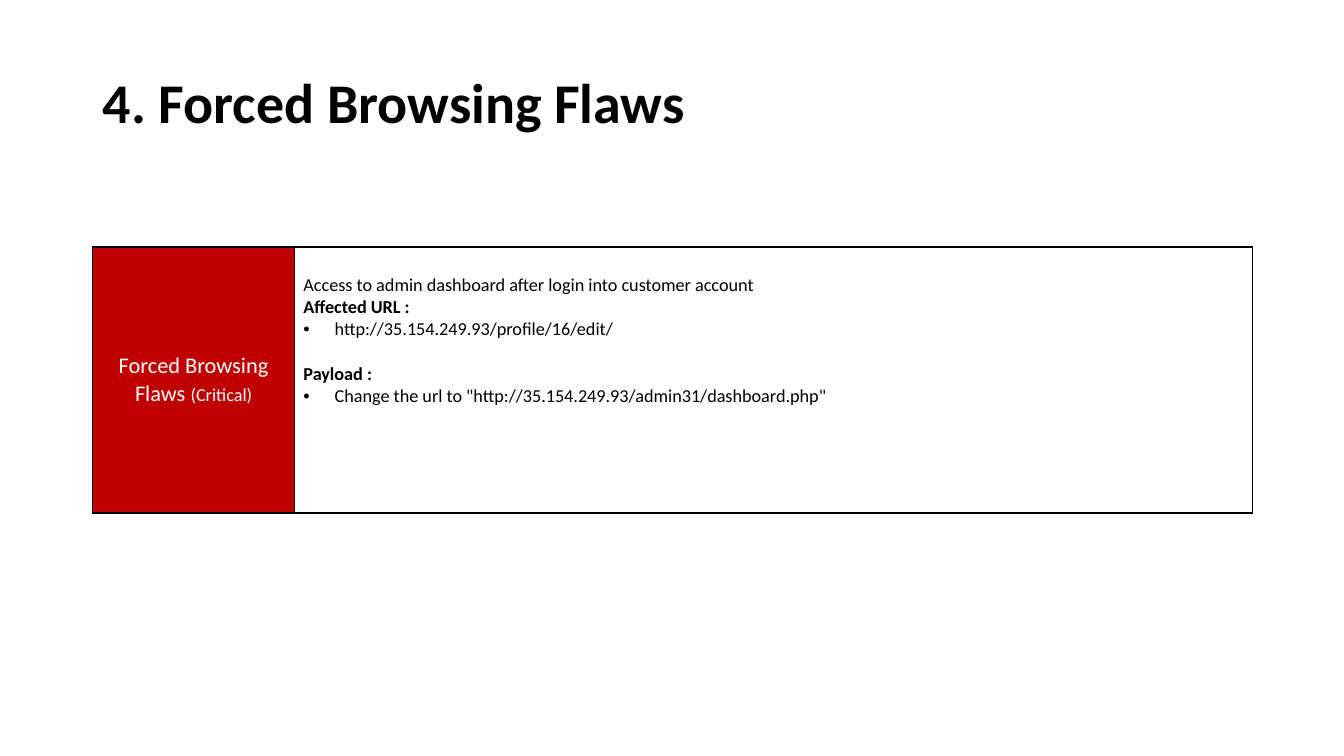
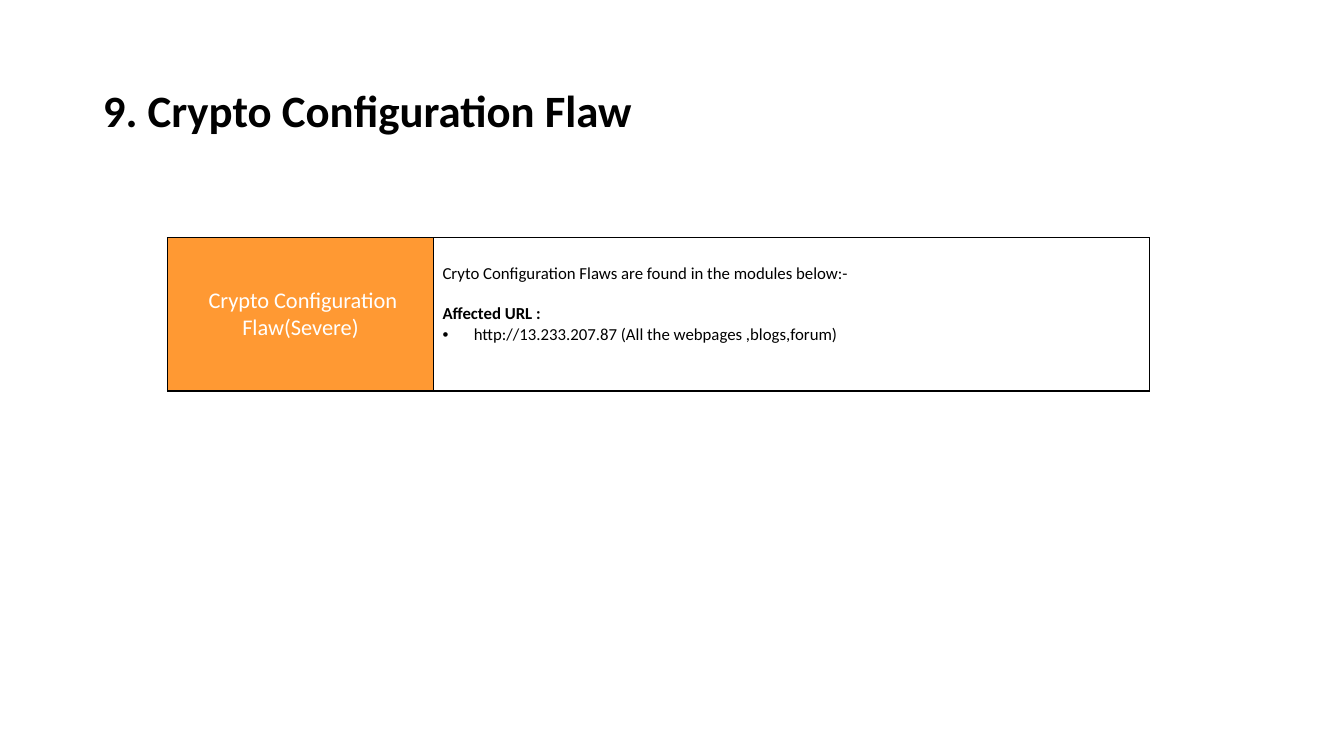
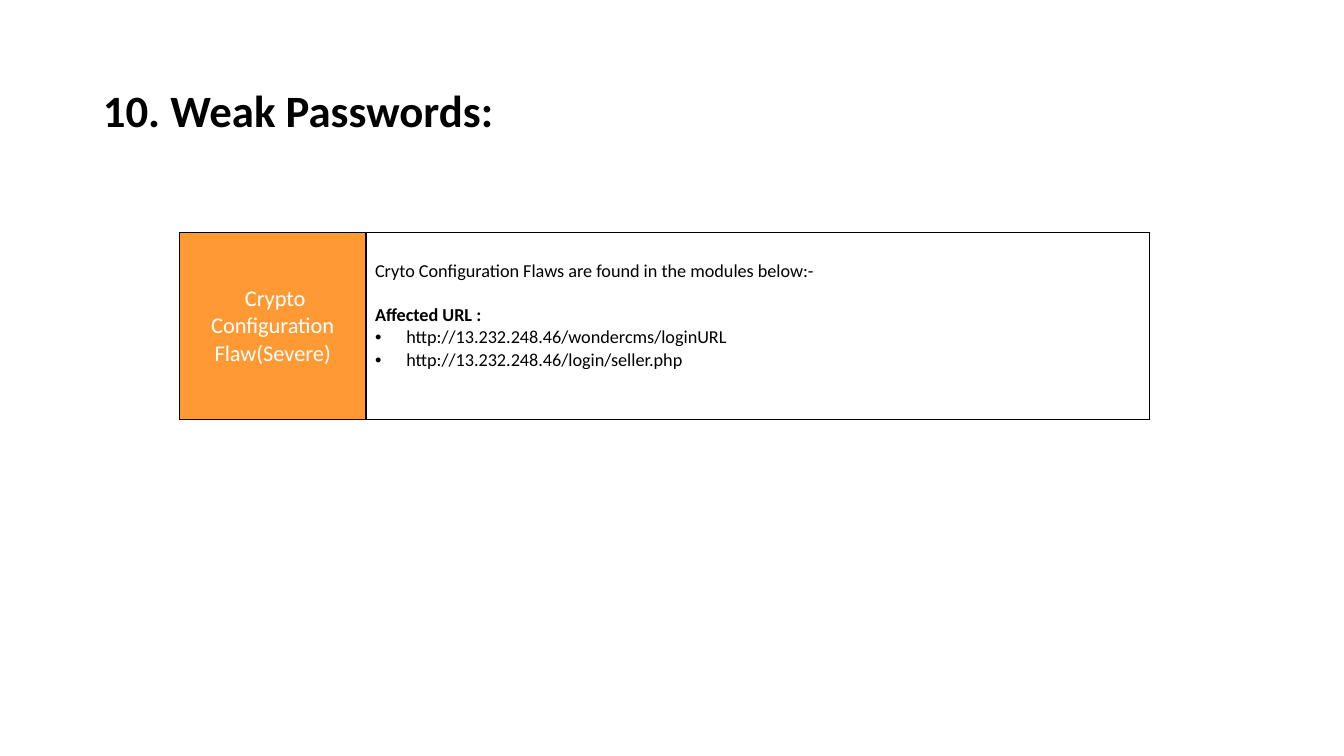
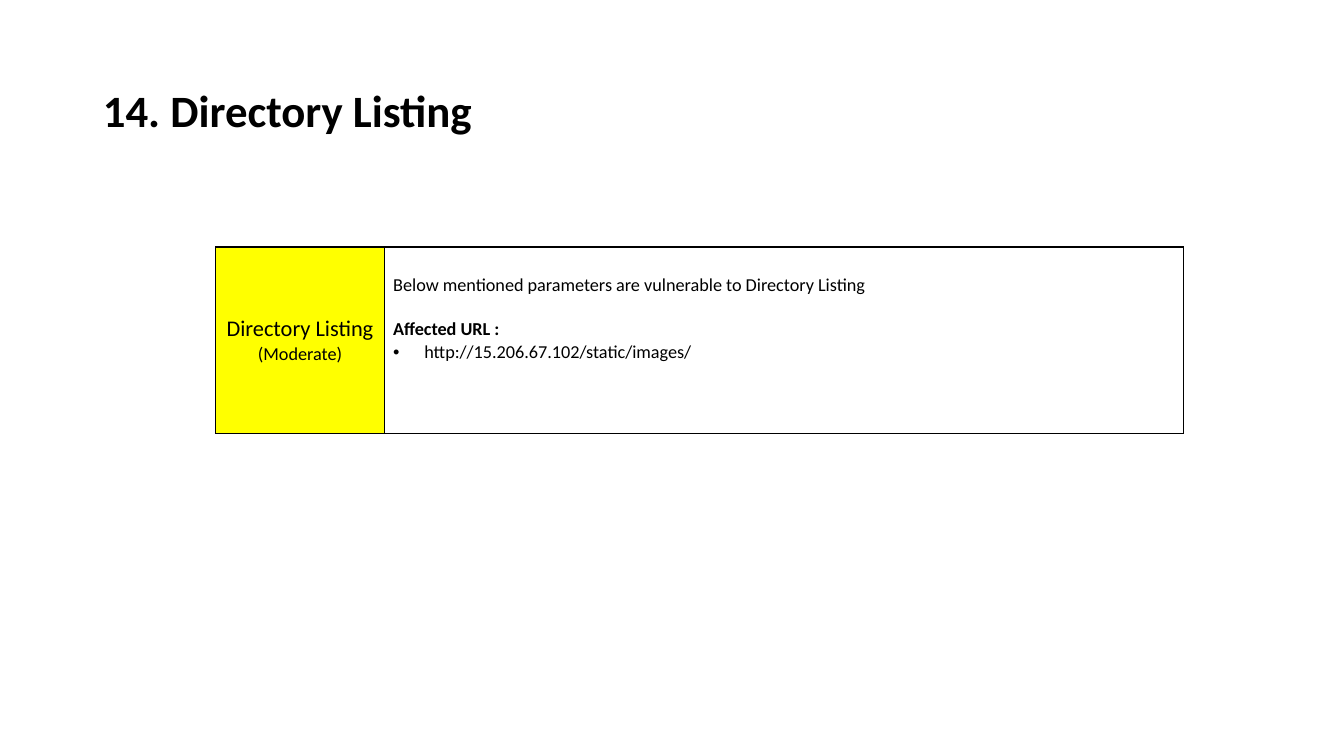
import pptx
import pptx.util
import pptx.dml.color
import pptx.enum.text
import pptx.oxml
import pptx.oxml.ns

Inches, Pt = pptx.util.Inches, pptx.util.Pt
Align, Anchor = pptx.enum.text.PP_ALIGN, pptx.enum.text.MSO_ANCHOR
qn = pptx.oxml.ns.qn

# Shared look
FONT = "Calibri"
BLACK, WHITE = "000000", "FFFFFF"
CRITICAL, SEVERE, MODERATE = "C00000", "FF9933", "FFFF00"
LABEL_SIZE = 16
LINE_FACTOR = 1.22      # line height of the font relative to its size
INSET_X, INSET_Y, BULLET_INDENT = 0.09, 0.05, 0.31
NO_STYLE = "{2D5ABB26-0587-4C30-8999-92F81FD0307C}"

# Content: details are (kind, text); "gap" kinds stand one line below the text before
FINDINGS = [
    {
        "title": "4. Forced Browsing Flaws", "title_size": 40, "title_box": (9.43, 1.29),
        "at": (0.92, 2), "columns": (2, 9.5), "rows": (0.45, 2.64),
        "label": [("Forced Browsing Flaws ", 16), ("(Critical)", 13)],
        "fill": CRITICAL, "label_color": WHITE, "size": 13,
        "details": [
            ("text", "Access to admin dashboard after login into customer account"),
            ("head", "Affected URL :"),
            ("bullet", "http://35.154.249.93/profile/16/edit/"),
            ("gap head", "Payload :"),
            ("bullet", 'Change the url to "http://35.154.249.93/admin31/dashboard.php"'),
        ],
    },
    {
        "title": "9. Crypto Configuration Flaw", "title_size": 32, "title_box": (11.5, 1.45),
        "at": (1.66, 2.07), "columns": (2.64, 7.1), "rows": (0.29, 1.52),
        "label": [(" Crypto Configuration Flaw(Severe)", 16)],
        "fill": SEVERE, "label_color": WHITE, "size": 12,
        "details": [
            ("text", "Cryto Configuration Flaws are found in the modules below:-"),
            ("gap head", "Affected URL :"),
            ("bullet", "http://13.233.207.87 (All the webpages ,blogs,forum)"),
        ],
    },
    {
        "title": "10. Weak Passwords:", "title_size": 32, "title_box": (11.5, 1.45),
        "at": (1.78, 2.02), "columns": (1.85, 7.77), "rows": (0.29, 1.85),
        "label": [(" Crypto Configuration Flaw(Severe)", 16)],
        "fill": SEVERE, "label_color": WHITE, "size": 13,
        "details": [
            ("text", "Cryto Configuration Flaws are found in the modules below:-"),
            ("gap head", "Affected URL :"),
            ("bullet", "http://13.232.248.46/wondercms/loginURL"),
            ("bullet", "http://13.232.248.46/login/seller.php"),
        ],
    },
    {
        "title": "14. Directory Listing", "title_size": 32, "title_box": (11.5, 1.45),
        "at": (2.14, 2), "columns": (1.67, 7.93), "rows": (0.45, 1.85),
        "label": [("Directory Listing ", 16), ("(Moderate)", 13)],
        "fill": MODERATE, "label_color": BLACK, "size": 13,
        "details": [
            ("text", "Below mentioned parameters are vulnerable to Directory Listing"),
            ("gap head", "Affected URL :"),
            ("bullet", "http://15.206.67.102/static/images/"),
        ],
    },
]


def rgb(color):
    return pptx.dml.color.RGBColor.from_string(color)


def set_all(target, formats):
    for attribute, value in formats.items():
        setattr(target, attribute, value)


def add_text(paragraph, text, size, color=BLACK, bold=False):
    run = paragraph.add_run()
    run.text = text
    set_all(run.font, {"name": FONT, "size": Pt(size), "bold": bold})
    run.font.color.rgb = rgb(color)


def add_bullet(paragraph):
    properties = paragraph._p.get_or_add_pPr()
    properties.set("marL", str(Inches(BULLET_INDENT)))
    properties.set("indent", str(-Inches(BULLET_INDENT)))
    properties.append(pptx.oxml.parse_xml(
        f'<a:buFont {pptx.oxml.ns.nsdecls("a")} typeface="Arial"/>'))
    properties.append(pptx.oxml.parse_xml(
        f'<a:buChar {pptx.oxml.ns.nsdecls("a")} char="•"/>'))


def add_borders(cell, sides):
    properties = cell._tc.get_or_add_tcPr()
    for position, side in enumerate(sides):
        properties.insert(position, pptx.oxml.parse_xml(
            f'<a:ln{side} {pptx.oxml.ns.nsdecls("a")} w="{Pt(1)}">'
            f'<a:solidFill><a:srgbClr val="{BLACK}"/></a:solidFill></a:ln{side}>'))


def format_cell(cell, fill, anchor, top=INSET_Y):
    cell.fill.solid()
    cell.fill.fore_color.rgb = rgb(fill)
    set_all(cell, {
        "margin_left": Inches(INSET_X), "margin_right": Inches(INSET_X),
        "margin_top": Inches(top), "margin_bottom": Inches(INSET_Y),
        "vertical_anchor": anchor,
    })
    add_borders(cell, "LRTB")


def add_title(slide, finding):
    title = slide.shapes.title
    width, height = finding["title_box"]
    set_all(title, {"left": Inches(0.92), "top": Inches(0.4),
                    "width": Inches(width), "height": Inches(height)})
    set_all(title.text_frame, {"vertical_anchor": Anchor.MIDDLE, "word_wrap": True,
                               "auto_size": pptx.enum.text.MSO_AUTO_SIZE.NONE})
    paragraph = title.text_frame.paragraphs[0]
    set_all(paragraph, {"alignment": Align.LEFT, "line_spacing": 0.9})
    add_text(paragraph, finding["title"], finding["title_size"], bold=True)


def fill_label(cell, finding):
    format_cell(cell, finding["fill"], Anchor.MIDDLE)
    paragraph = cell.text_frame.paragraphs[0]
    paragraph.alignment = Align.CENTER
    for text, size in finding["label"]:
        add_text(paragraph, text, size, finding["label_color"])


def fill_details(cell, finding):
    size = finding["size"]
    line = size * LINE_FACTOR
    format_cell(cell, WHITE, Anchor.TOP, top=round(INSET_Y + line / 72, 2))
    for index, (kind, text) in enumerate(finding["details"]):
        frame = cell.text_frame
        paragraph = frame.add_paragraph() if index else frame.paragraphs[0]
        if "gap" in kind:
            paragraph.space_before = Pt(line)
        if kind == "bullet":
            add_bullet(paragraph)
        add_text(paragraph, text, size, bold="head" in kind)


def add_finding_table(slide, finding):
    columns, rows = finding["columns"], finding["rows"]
    box = (*finding["at"], sum(columns), sum(rows))
    table = slide.shapes.add_table(len(rows), len(columns), *map(Inches, box)).table
    set_all(table, {"first_row": False, "horz_banding": False})
    table._tbl.tblPr.find(qn("a:tableStyleId")).text = NO_STYLE
    for column, width in zip(table.columns, columns):
        column.width = Inches(width)
    for row, height in zip(table.rows, rows):
        row.height = Inches(height)

    # Empty heading row: no fill, small text so that the row stays low
    for cell in table.rows[0].cells:
        cell.fill.background()
        set_all(cell, {"margin_top": 0, "margin_bottom": 0})
        add_borders(cell, "B")
        cell.text_frame.paragraphs[0]._p.append(pptx.oxml.parse_xml(
            f'<a:endParaRPr {pptx.oxml.ns.nsdecls("a")} sz="1000"/>'))

    fill_label(table.cell(1, 0), finding)
    fill_details(table.cell(1, 1), finding)


def main():
    deck = pptx.Presentation()
    set_all(deck, {"slide_width": Inches(13.33), "slide_height": Inches(7.5)})
    title_only = deck.slide_layouts[5]
    for finding in FINDINGS:
        slide = deck.slides.add_slide(title_only)
        add_title(slide, finding)
        add_finding_table(slide, finding)
    deck.save("out.pptx")


if __name__ == "__main__":
    main()
